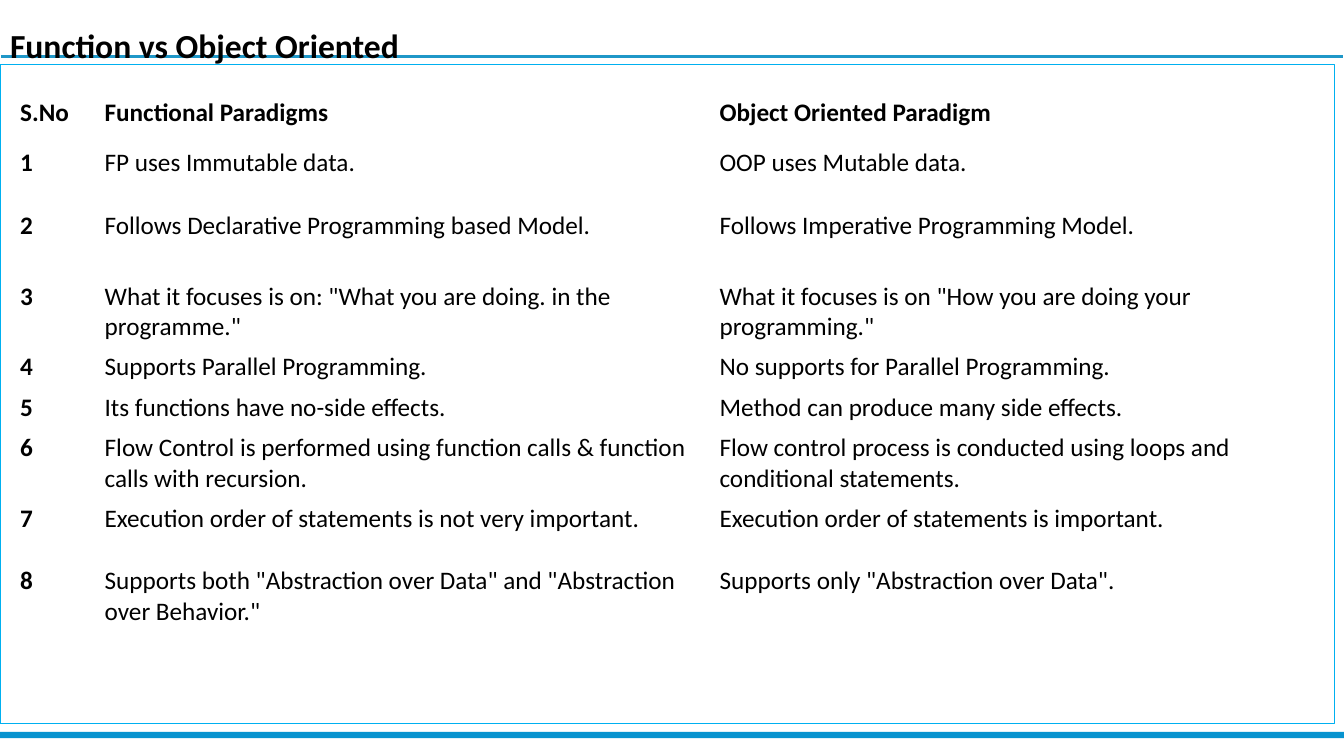
from typing import NamedTuple

from lxml.etree import SubElement
from pptx import Presentation
from pptx.dml.color import RGBColor
from pptx.enum.shapes import MSO_CONNECTOR as Connector, MSO_SHAPE as Preset
from pptx.enum.text import MSO_AUTO_SIZE as AutoSize, PP_ALIGN as Align
from pptx.oxml.ns import qn
from pptx.util import Pt

FONT = "Calibri"
BLACK = "000000"
COLUMN_WIDTHS = (60.4, 439.2, 437)


class Row(NamedTuple):
    height: float
    number: str
    functional: str
    object_oriented: str


class Panel(NamedTuple):
    left: float
    top: float
    width: float
    height: float
    fill: str
    line: str | None = None


ROWS = (
    Row(35.3, "S.No", "Functional Paradigms", "Object Oriented Paradigm"),
    Row(45.4, "1", "FP uses Immutable data.", "OOP uses Mutable data."),
    Row(50.4, "2", "Follows Declarative Programming based Model.",
        "Follows Imperative Programming Model."),
    Row(50.4, "3", 'What it focuses is on: "What you are doing. in the programme."',
        'What it focuses is on "How you are doing your programming."'),
    Row(28.8, "4", "Supports Parallel Programming.",
        "No supports for Parallel Programming."),
    Row(28.8, "5", "Its functions have no-side effects.",
        "Method can produce many side effects."),
    Row(50.4, "6",
        "Flow Control is performed using function calls & function calls with recursion.",
        "Flow control process is conducted using loops and conditional statements."),
    Row(44.6, "7", "Execution order of statements is not very important.",
        "Execution order of statements is important."),
    Row(67.7, "8",
        'Supports both "Abstraction over Data" and "Abstraction over Behavior."',
        'Supports only "Abstraction over Data".'),
)
PANELS = (
    Panel(0, 522.7, 960, 4.5, "0793CF"),
    Panel(0, 46.1, 953.3, 470.9, "FFFFFF", "00B0F0"),
)


def color(code: str) -> RGBColor:
    return RGBColor.from_string(code)


def add_span(para, text: str, size: float, bold: bool) -> None:
    span = para.add_run()
    span.text = text
    span.font.name = FONT
    span.font.size = Pt(size)
    span.font.bold = bold
    span.font.color.rgb = color(BLACK)


def add_title_rule(page) -> None:
    rule = page.shapes.add_connector(
        Connector.STRAIGHT, Pt(0.7), Pt(40.3), Pt(959), Pt(40.3))
    rule.line.color.rgb = color("1F97C8")
    rule.line.width = Pt(2.25)
    SubElement(rule._element.spPr, qn("a:effectLst"))


def add_title(page, text: str) -> None:
    box = page.shapes.add_textbox(Pt(7.2), Pt(3.6), Pt(946), Pt(38.9))
    frame = box.text_frame
    frame.word_wrap = True
    frame.auto_size = AutoSize.SHAPE_TO_FIT_TEXT
    frame.margin_left = frame.margin_right = Pt(0)
    frame.margin_top = frame.margin_bottom = Pt(0)
    para = frame.paragraphs[0]
    para.alignment = Align.JUSTIFY
    para.line_spacing = 1.5
    add_span(para, text, 24, True)


def add_panel(page, panel: Panel) -> None:
    shape = page.shapes.add_shape(
        Preset.RECTANGLE, Pt(panel.left), Pt(panel.top),
        Pt(panel.width), Pt(panel.height))
    shape.shadow.inherit = False
    shape.fill.solid()
    shape.fill.fore_color.rgb = color(panel.fill)
    if panel.line:
        shape.line.color.rgb = color(panel.line)
        shape.line.width = Pt(1)
    else:
        shape.line.fill.background()


def add_comparison(page, rows: tuple[Row, ...]) -> None:
    table = page.shapes.add_table(
        len(rows), len(COLUMN_WIDTHS), Pt(7.2), Pt(66.2),
        Pt(sum(COLUMN_WIDTHS)), Pt(sum(row.height for row in rows))).table
    table.first_row = table.horz_banding = False
    for column, width in zip(table.columns, COLUMN_WIDTHS):
        column.width = Pt(width)
    for row_index, (height, *texts) in enumerate(rows):
        table.rows[row_index].height = Pt(height)
        for column_index, text in enumerate(texts):
            cell = table.cell(row_index, column_index)
            cell.fill.background()
            is_heading = row_index == 0 or column_index == 0
            add_span(cell.text_frame.paragraphs[0], text, 18, is_heading)


def main() -> None:
    deck = Presentation()
    deck.slide_width, deck.slide_height = Pt(960), Pt(540)
    page = deck.slides.add_slide(deck.slide_layouts[6])
    add_title_rule(page)
    add_title(page, "Function vs Object Oriented")
    for panel in PANELS:
        add_panel(page, panel)
    add_comparison(page, ROWS)
    deck.save("out.pptx")


if __name__ == "__main__":
    main()
